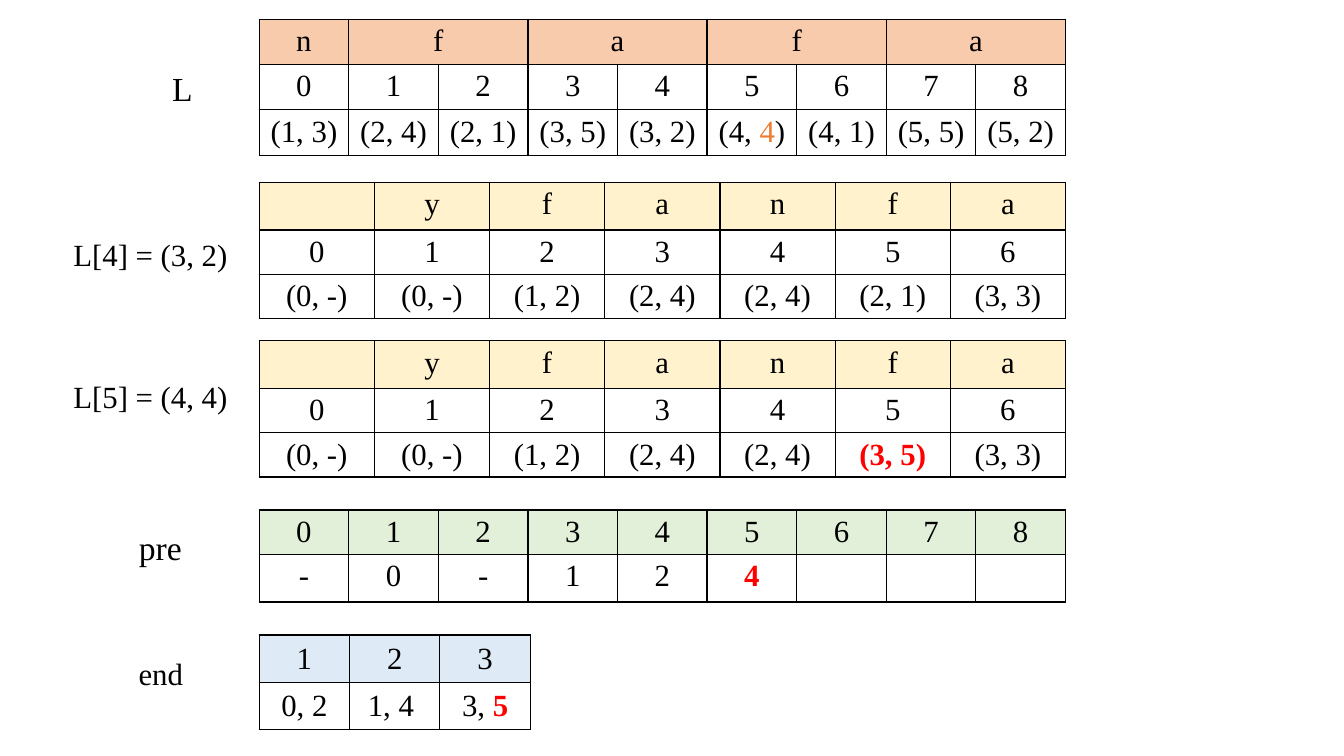
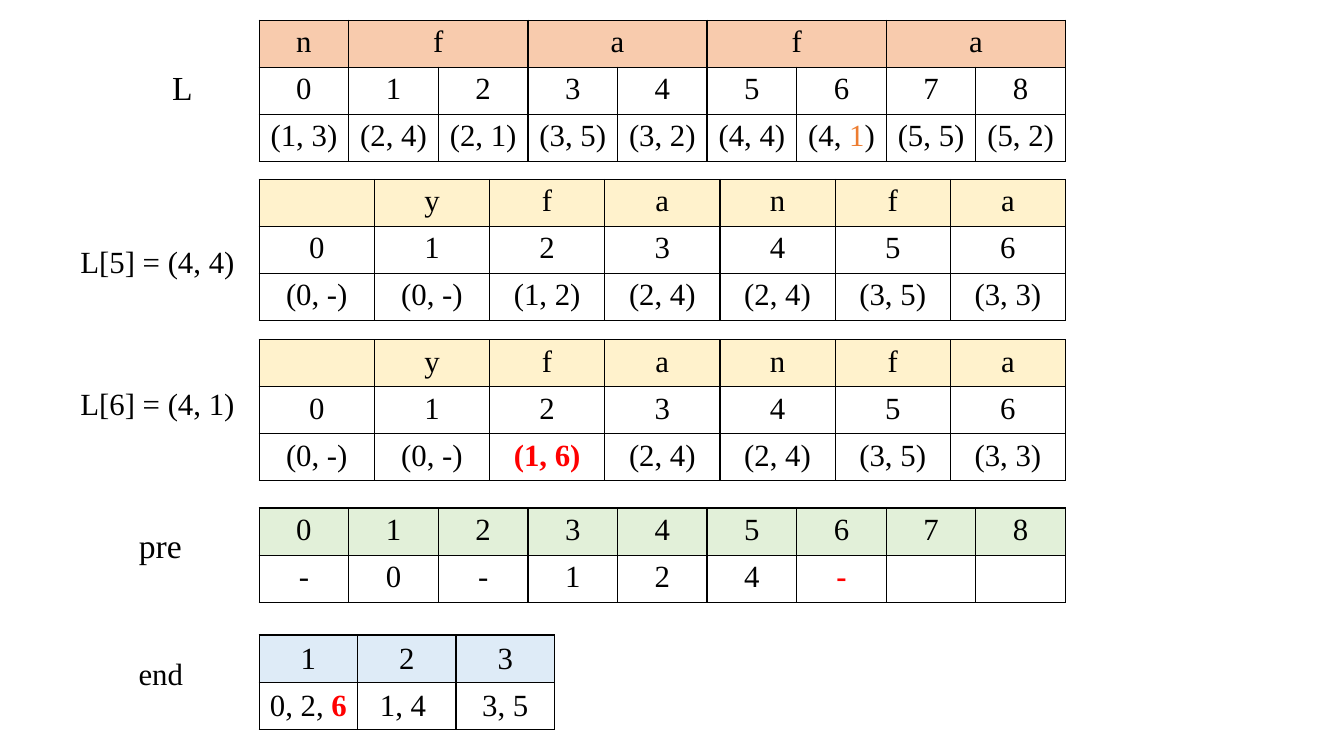
"""Build two slides that trace the L, row, pre and end tables step by step."""
from lxml import etree
from pptx import Presentation
from pptx.dml.color import RGBColor
from pptx.enum.text import MSO_ANCHOR, PP_ALIGN
from pptx.oxml.ns import qn
from pptx.util import Inches, Pt

LEFT, CENTER = PP_ALIGN.LEFT, PP_ALIGN.CENTER
TOP, MIDDLE = MSO_ANCHOR.TOP, MSO_ANCHOR.MIDDLE
FONT = "Times New Roman"
BLACK, RED, ORANGE = "000000", "FF0000", "ED7D31"
PEACH, CREAM, GREEN, BLUE = "F8CBAD", "FFF2CC", "E2F0D9", "DEEBF7"
EDGE, WIDE = 2.57, 8
JOIN = "<"

GROUPS = ["n", "f", JOIN, "a", JOIN, "f", JOIN, "a", JOIN]
NINE = [str(n) for n in range(9)]
WORD = ["", "y", "f", "a", "n", "f", "a"]
SEVEN = NINE[:7]
ENDS = ["1", "2", "3"]

# Asterisks enclose the highlighted part of a text.
SLIDES = [
    {
        "tops": (0.19, 1.81, 3.38, 5.06, 6.3),
        "pairs": ["(1, 3)", "(2, 4)", "(2, 1)", "(3, 5)", "(3, 2)",
                  "(4, *4*)", "(4, 1)", "(5, 5)", "(5, 2)"],
        "old": ["(0, -)", "(0, -)", "(1, 2)", "(2, 4)", "(2, 4)", "(2, 1)", "(3, 3)"],
        "new": ["(0, -)", "(0, -)", "(1, 2)", "(2, 4)", "(2, 4)", "*(3, 5)*", "(3, 3)"],
        "pre": ["-", "0", "-", "1", "2", "*4*", "", "", ""],
        "end": ["0, 2", "1, 4 ", "3, *5*"],
        "end_wide": 2.69,
        "steps": ["L[4] = (3, 2)", "L[5] = (4, 4)"],
        "step_at": (0.63, 2.29),
        "names": (0.62, 5.18),
    },
    {
        "tops": (0.2, 1.78, 3.37, 5.04, 6.3),
        "pairs": ["(1, 3)", "(2, 4)", "(2, 1)", "(3, 5)", "(3, 2)",
                  "(4, 4)", "(4, *1*)", "(5, 5)", "(5, 2)"],
        "old": ["(0, -)", "(0, -)", "(1, 2)", "(2, 4)", "(2, 4)", "(3, 5)", "(3, 3)"],
        "new": ["(0, -)", "(0, -)", "*(1, 6)*", "(2, 4)", "(2, 4)", "(3, 5)", "(3, 3)"],
        "pre": ["-", "0", "-", "1", "2", "4", "*-*", "", ""],
        "end": ["0, 2, *6*", "1, 4 ", "3, 5"],
        "end_wide": 2.93,
        "steps": ["L[5] = (4, 4)", "L[6] = (4, 1)"],
        "step_at": (0.7, 2.36),
        "names": (0.61, 5.16),
    },
]


def color(code):
    return RGBColor.from_string(code)


def write(frame, text, size=22, align=CENTER, mark=RED, bold=True):
    para = frame.paragraphs[0]
    para.alignment = align
    para.font.size = Pt(size)
    for i, part in enumerate(text.split("*")):
        if not part:
            continue
        lit = i % 2 == 1
        run = para.add_run()
        run.text = part
        run.font.name = FONT
        run.font.size = Pt(size)
        run.font.bold = lit and bold
        run.font.color.rgb = color(mark if lit else BLACK)


def label(slide, text, left, top, width, height, **style):
    box = slide.shapes.add_textbox(*map(Inches, (left, top, width, height)))
    box.text_frame.word_wrap = True
    write(box.text_frame, text, **style)


def border(cell):
    props = cell._tc.get_or_add_tcPr()
    for side in ("lnL", "lnR", "lnT", "lnB"):
        line = etree.SubElement(props, qn(f"a:{side}"), w=str(Pt(1)))
        fill = etree.SubElement(line, qn("a:solidFill"))
        etree.SubElement(fill, qn("a:srgbClr"), val=BLACK)


def grid(slide, rows, top, tint, width=WIDE, tall=0.44, anchor=TOP, **style):
    count = len(rows[0])
    table = slide.shapes.add_table(
        len(rows), count, Inches(EDGE), Inches(top),
        Inches(width), Inches(tall * len(rows))).table
    table.first_row = table.horz_banding = False
    for col in table.columns:
        col.width = Inches(width / count)
    for r, row in enumerate(rows):
        table.rows[r].height = Inches(tall)
        for c, text in enumerate(row):
            cell = table.cell(r, c)
            border(cell)
            cell.vertical_anchor = anchor
            if r == 0:
                cell.fill.solid()
                cell.fill.fore_color.rgb = color(tint)
            else:
                cell.fill.background()
            if text == JOIN:
                table.cell(r, c - 1).merge(cell)
            else:
                write(cell.text_frame, text, **style)


def build(slide, data):
    tops = data["tops"]
    grid(slide, [GROUPS, NINE, data["pairs"]], tops[0], PEACH,
         tall=0.45, mark=ORANGE, bold=False)
    for key, top in zip(("old", "new"), tops[1:3]):
        grid(slide, [WORD, SEVEN, data[key]], top, CREAM)
    grid(slide, [NINE, data["pre"]], tops[3], GREEN)
    grid(slide, [ENDS, data["end"]], tops[4], BLUE,
         width=data["end_wide"], tall=0.47, anchor=MIDDLE)

    left, top = data["step_at"]
    for i, text in enumerate(data["steps"]):
        label(slide, text, left, top + 1.41 * i, EDGE - left, 0.44, align=LEFT)
    for text, left, top in zip(("L", "pre"), (1.61, 1.28), data["names"]):
        label(slide, text, left, top, 0.8, 0.5, size=24, align=LEFT)
    label(slide, "end", 0.7, 6.45, 1.79, 0.47)


def main():
    deck = Presentation()
    deck.slide_width, deck.slide_height = Inches(13.33), Inches(7.5)
    for data in SLIDES:
        build(deck.slides.add_slide(deck.slide_layouts[6]), data)
    deck.save("out.pptx")


if __name__ == "__main__":
    main()
